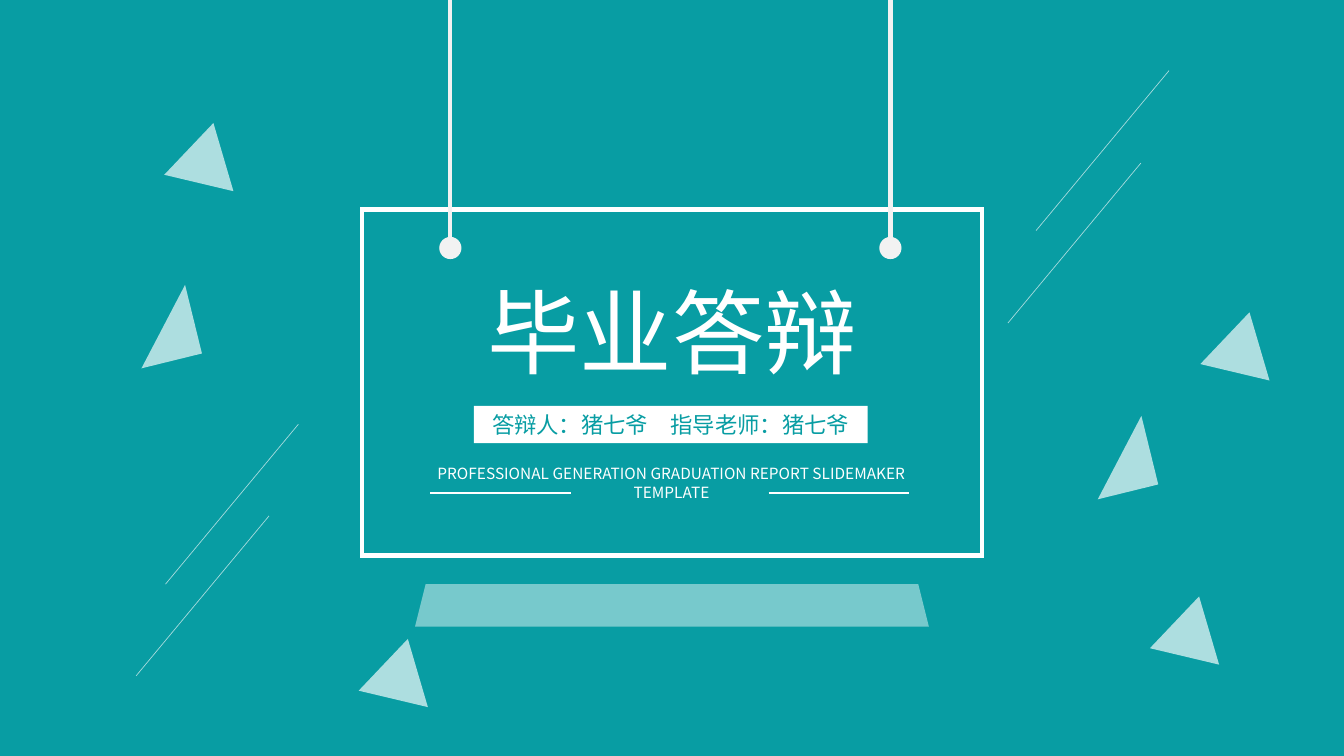
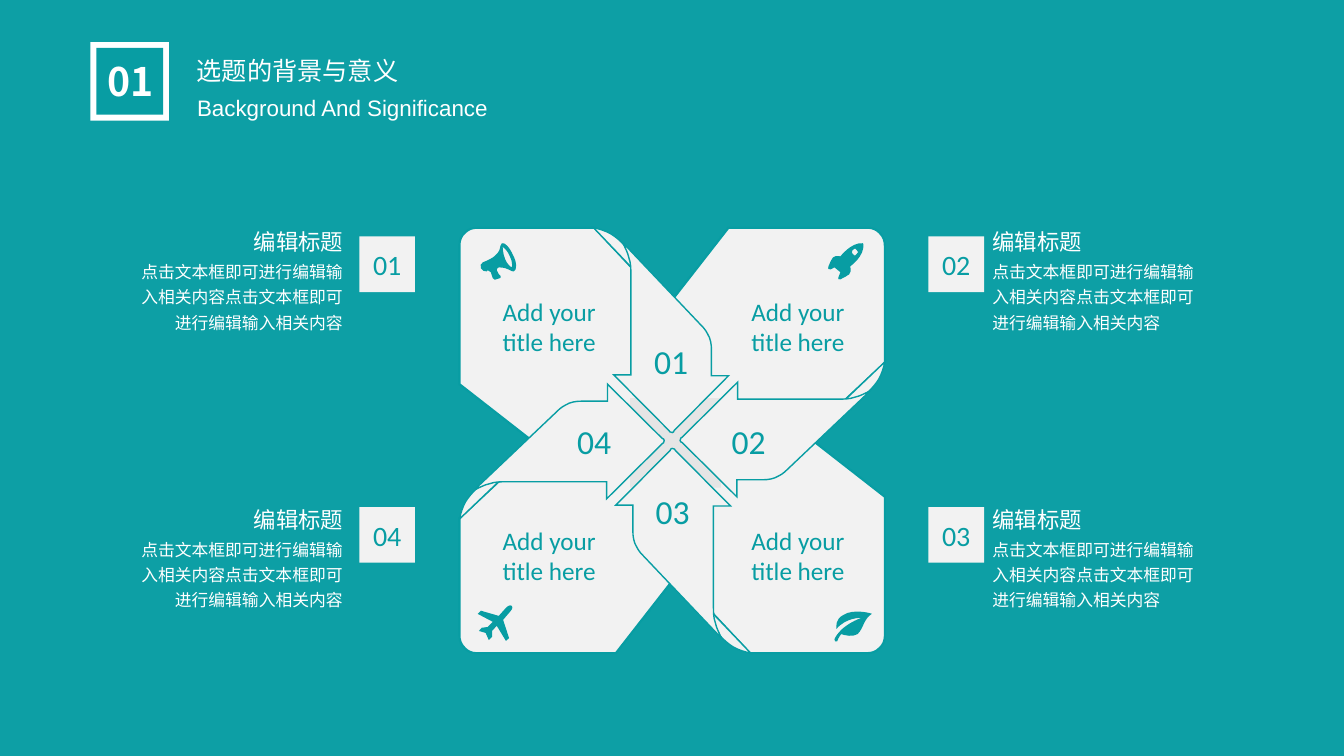
from lxml import etree
from pptx import Presentation
from pptx.dml.color import RGBColor
from pptx.enum.shapes import MSO_CONNECTOR, MSO_SHAPE
from pptx.enum.text import MSO_ANCHOR, PP_ALIGN
from pptx.oxml.ns import qn
from pptx.util import Cm, Pt

RECT = MSO_SHAPE.RECTANGLE
SNIP = MSO_SHAPE.SNIP_1_RECTANGLE
OVAL = MSO_SHAPE.OVAL
TRI = MSO_SHAPE.ISOSCELES_TRIANGLE
TRAP = MSO_SHAPE.TRAPEZOID
STRAIGHT = MSO_CONNECTOR.STRAIGHT
TOP, MID = MSO_ANCHOR.TOP, MSO_ANCHOR.MIDDLE
LEFT, CENTER, RIGHT = PP_ALIGN.LEFT, PP_ALIGN.CENTER, PP_ALIGN.RIGHT

TEAL = RGBColor(0x08, 0x9D, 0xA3)
SOFT = RGBColor(0x0D, 0x9F, 0xA5)
WHITE = RGBColor(0xFF, 0xFF, 0xFF)
PALE = RGBColor(0xF2, 0xF2, 0xF2)
GREY = RGBColor(0xE5, 0xE5, 0xE5)
HAN, LATIN, SANS = "Noto Sans CJK SC", "Calibri", "Arial"

PETAL = [[(-1.96, -5.36), (-4.9, -5.36),
          (-5.03, -5.36, -5.13, -5.33, -5.23, -5.23),
          (-5.31, -5.16, -5.36, -5.05, -5.36, -4.93),
          (-5.36, -1.42), (-2.95, 0.46), (0.03, 0.46), (0.03, -3.23)]]
FOLD = [[(-1.98, -5.36), (-1.83, -5.33, -1.68, -5.28, -1.55, -5.21),
         (-1.42, -5.13, -1.3, -5.03, -1.19, -4.9),
         (-0.97, -4.57), (-0.94, -4.27)]]
ARROW = [[(-1.24, -4.98), (-1.19, -4.85, -1.12, -4.75, -1.09, -4.6),
          (-1.04, -4.47, -1.04, -4.32, -1.04, -4.17),
          (-1.04, -1.65), (-1.47, -1.65), (-0.08, -0.25),
          (-0.08, -0.23, -0.05, -0.2, 0, -0.2),
          (0.03, -0.2, 0.05, -0.23, 0.05, -0.25),
          (1.42, -1.63), (0.99, -1.63), (0.99, -2.29),
          (0.99, -2.41, 0.97, -2.57, 0.89, -2.69),
          (0.86, -2.74, 0.84, -2.79, 0.79, -2.84)]]
PLANE = [[(0.71, 0.91), (0.79, 0.84), (0.64, 0.38), (0.81, 0.18),
          (0.81, 0.18, 0.91, 0.08, 0.86, 0.03),
          (0.81, -0.03, 0.71, 0.08, 0.71, 0.08),
          (0.53, 0.28), (0.08, 0.15), (0, 0.23), (0.38, 0.43),
          (0.25, 0.56), (0.1, 0.58), (0.03, 0.66), (0.2, 0.71),
          (0.28, 0.89), (0.36, 0.81), (0.36, 0.66), (0.48, 0.53)]]
HORN = [[(0.84, 0.33), (0.76, 0.15, 0.64, 0, 0.56, 0.03),
         (0.46, 0.08, 0.64, 0.3, 0.08, 0.51),
         (0.03, 0.53, 0, 0.61, 0.03, 0.66),
         (0.05, 0.71, 0.13, 0.76, 0.18, 0.74), (0.2, 0.71),
         (0.25, 0.76, 0.28, 0.74, 0.28, 0.76), (0.33, 0.91),
         (0.38, 0.95), (0.51, 0.91), (0.53, 0.91, 0.53, 0.89, 0.53, 0.86),
         (0.48, 0.81), (0.43, 0.71),
         (0.41, 0.69, 0.46, 0.64, 0.48, 0.64),
         (0.74, 0.64, 0.79, 0.76, 0.86, 0.74),
         (0.94, 0.71, 0.94, 0.51, 0.84, 0.33)],
        [(0.81, 0.64), (0.79, 0.64, 0.69, 0.56, 0.64, 0.43),
         (0.58, 0.28, 0.58, 0.13, 0.58, 0.13),
         (0.61, 0.13, 0.71, 0.23, 0.76, 0.36),
         (0.84, 0.51, 0.81, 0.64, 0.81, 0.64)]]
ROCKET = [[(0.58, 0.61), (0.58, 0.61, 0.94, 0.36, 0.91, 0.05), (0.89, 0.03),
           (0.61, 0, 0.33, 0.36, 0.33, 0.36),
           (0.13, 0.33, 0.13, 0.38, 0.03, 0.61),
           (0, 0.69, 0.05, 0.69, 0.08, 0.69),
           (0.18, 0.64), (0.33, 0.76), (0.28, 0.89),
           (0.25, 0.91, 0.28, 0.97, 0.33, 0.94),
           (0.56, 0.81, 0.61, 0.84, 0.58, 0.61)],
          [(0.64, 0.3), (0.61, 0.28, 0.61, 0.23, 0.64, 0.2),
           (0.66, 0.15, 0.74, 0.15, 0.74, 0.2),
           (0.79, 0.23, 0.79, 0.28, 0.74, 0.3),
           (0.74, 0.36, 0.66, 0.36, 0.64, 0.3)]]
LEAF = [[(0.25, 0.18), (0.05, 0.28, 0.08, 0.46, 0.08, 0.53),
         (0.33, 0.23, 0.71, 0.25, 0.71, 0.25),
         (0.71, 0.25, 0.18, 0.43, 0.03, 0.79),
         (0, 0.84, 0.08, 0.86, 0.1, 0.84),
         (0.13, 0.74, 0.2, 0.66, 0.2, 0.66),
         (0.3, 0.69, 0.48, 0.74, 0.61, 0.66),
         (0.76, 0.53, 0.76, 0.28, 0.97, 0.15),
         (1.02, 0.15, 0.51, 0, 0.25, 0.18)]]


def fade(shape, rate):
    tone = shape._element.spPr.find(".//" + qn("a:srgbClr"))
    etree.SubElement(tone, qn("a:alpha")).set("val", str(rate * 1000))


def paint(shape, fill=None, line=None, width=1):
    shape.shadow.inherit = False
    if fill is None:
        shape.fill.background()
    else:
        shape.fill.solid()
        shape.fill.fore_color.rgb = fill
    if line is None:
        shape.line.fill.background()
    else:
        shape.line.color.rgb = line
        shape.line.width = Pt(width)
        edge = shape._element.spPr.find(qn("a:ln"))
        etree.SubElement(edge, qn("a:miter")).set("lim", "800000")
    return shape


def draw(slide, kind, box, **look):
    return paint(slide.shapes.add_shape(kind, *map(Cm, box)), **look)


def rule(slide, start, end, color=WHITE, width=1.5):
    line = slide.shapes.add_connector(STRAIGHT, *map(Cm, start + end))
    line.line.color.rgb = color
    line.line.width = Pt(width)
    etree.SubElement(line._element.spPr, qn("a:effectLst"))
    return line


def write(slide, text, box=None, shape=None, size=16, face=HAN, color=WHITE,
          bold=False, align=CENTER, anchor=TOP, space=None, wrap=True):
    if shape is None:
        shape = slide.shapes.add_textbox(*map(Cm, box))
    frame = shape.text_frame
    frame.word_wrap = wrap
    frame.vertical_anchor = anchor
    para = frame.paragraphs[0]
    para.alignment = align
    if space:
        para.line_spacing = space
    run = para.add_run()
    run.text = text
    font = run.font
    font.size, font.bold, font.name = Pt(size), bold, face
    font.color.rgb = color
    etree.SubElement(run._r.rPr, qn("a:ea")).set("typeface", face)


def place(part, x, y, turn):
    dots = []
    for dx, dy in zip(part[::2], part[1::2]):
        for _ in range(turn):
            dx, dy = -dy, dx
        dots.append((Cm(x + dx), Cm(y + dy)))
    return dots


def bend(shape, parts):
    steps = list(shape._element.spPr.iter(qn("a:lnTo")))
    for step, dots in zip(steps, parts):
        if len(dots) == 1:
            continue
        curve = etree.Element(qn("a:cubicBezTo"))
        for px, py in dots:
            dot = etree.SubElement(curve, qn("a:pt"))
            dot.set("x", str(px - shape.left))
            dot.set("y", str(py - shape.top))
        step.getparent().replace(step, curve)


def carve(slide, loops, x, y, turn=0, **look):
    pen, parts = None, []
    for loop in loops:
        first, *rest = [place(part, x, y, turn) for part in loop]
        if pen is None:
            pen = slide.shapes.build_freeform(*first[0], scale=1.0)
        else:
            pen.move_to(*first[0])
        pen.add_line_segments([dots[-1] for dots in rest], close=True)
        parts += rest
    shape = pen.convert_to_shape()
    bend(shape, parts)
    return paint(shape, **look)


def page(deck, color):
    slide = deck.slides.add_slide(deck.slide_layouts[6])
    slide.background.fill.solid()
    slide.background.fill.fore_color.rgb = color
    return slide


def confetti(slide):
    tall, wide = (1.57, 1.78, 346.2), (1.8, 1.55, 133.5)
    for x, y, (w, h, turn) in ((27.43, 10.64, tall), (30.53, 8.28, wide),
                               (29.26, 15.44, wide), (3.33, 7.34, tall),
                               (4.42, 3.51, wide), (9.32, 16.51, wide)):
        chip = draw(slide, TRI, (x, y, w, h), fill=WHITE)
        chip.rotation = turn
        if w < h:
            chip.adjustments[0] = 1
        fade(chip, 67)
    for x, y in ((29.46, 1.78), (28.75, 4.11), (7.52, 10.69), (6.78, 13)):
        fade(rule(slide, (x, y), (x - 3.35, y + 4.03), width=0.5), 64)


def board(slide, x, y, w, h):
    draw(slide, RECT, (x, y, w, h), line=WHITE, width=3)
    for rope in (x + 2.23, x + 13.32):
        rule(slide, (rope, 0), (rope, y + 0.89), PALE, 3)
        draw(slide, OVAL, (rope - 0.28, y + 0.69, 0.56, 0.56), fill=PALE)
    fade(draw(slide, TRAP, (x + 1.34, y + 9.44, 12.95, 1.07), fill=WHITE), 45)
    write(slide, "毕业答辩", (x + 0.41, y + 1.53, 14.83, 3.07), size=66)
    bar = draw(slide, RECT, (x + 2.82, y + 4.95, 9.93, 0.94), fill=WHITE)
    write(slide, "答辩人：猪七爷　指导老师：猪七爷", shape=bar, color=TEAL)
    write(slide, "PROFESSIONAL GENERATION GRADUATION REPORT SLIDEMAKER TEMPLATE",
          (x + 1.24, y + 6.3, 13.13, 1.19), size=11)
    for left in (x + 1.72, x + 10.25):
        rule(slide, (left, y + 7.15), (left + 3.55, y + 7.15))


def header(slide, x, y, num, title, sub):
    draw(slide, RECT, (x, y, 1.98, 1.98), fill=WHITE)
    draw(slide, RECT, (x + 0.15, y + 0.15, 1.68, 1.68), fill=TEAL)
    write(slide, num, (x + 0.09, y + 0.25, 1.83, 1.45), size=28, bold=True)
    write(slide, title, (x + 2.43, y - 0.54, 5.64, 1.57), size=18,
          align=LEFT, space=2, wrap=False)
    strip = draw(slide, SNIP, (x - 0.62, y + 1.2, 13.94, 0.94))
    strip.adjustments[0] = 0
    write(slide, sub, shape=strip, face=SANS)


def pinwheel(slide, x, y):
    for turn in (2, 3, 1, 0):
        carve(slide, PETAL, x, y, turn, fill=PALE, line=TEAL, width=1.5)
    draw(slide, RECT, (x - 1.06, y - 1.07, 2.29, 2.26), fill=GREY)
    for turn in range(4):
        for part in (FOLD, ARROW):
            carve(slide, part, x, y, turn, fill=PALE, line=TEAL)
    spots = ((-1.03, -2.64), (0.92, -0.63), (-0.99, 1.14), (-2.97, -0.63))
    for n, (dx, dy) in enumerate(spots, 1):
        write(slide, f"{n:02}", (x + dx, y + dy, 2.01, 1.27), size=24,
              face=LATIN, color=TEAL)
    for icon, dx, dy in ((PLANE, -4.9, 4.14), (HORN, -4.85, -5),
                         (ROCKET, 3.91, -5), (LEAF, 4.06, 4.22)):
        carve(slide, icon, x + dx, y + dy, fill=TEAL)
    for dy in (-3.77, 2.01):
        for dx in (-4.79, 1.48):
            write(slide, "Add your title here", (x + dx, y + dy, 3.38, 1.8),
                  size=18, face=LATIN, color=TEAL)


def note(slide, x, y, num, align, tag, drop):
    badge = draw(slide, RECT, (x + tag, y + drop, 1.4, 1.4), fill=PALE)
    write(slide, num, shape=badge, size=20, face=LATIN, color=TEAL, anchor=MID)
    write(slide, "点击文本框即可进行编辑输入相关内容点击文本框即可进行编辑输入相关内容",
          (x, y + 0.73, 5.79, 2.18), size=12, align=align, space=1.25)
    shift = 2.9 if align == RIGHT else 0
    write(slide, "编辑标题", (x + shift, y, 2.9, 0.94), align=align)


def main():
    deck = Presentation()
    deck.slide_width, deck.slide_height = Cm(33.87), Cm(19.05)

    cover = page(deck, TEAL)
    confetti(cover)
    board(cover, 9.12, 5.28, 15.62, 8.72)

    topic = page(deck, SOFT)
    header(topic, 2.28, 1.06, "01", "选题的背景与意义",
           "Background And Significance")
    pinwheel(topic, 16.94, 11.1)
    for y, drop, nums in ((5.62, 0.34, ("01", "02")),
                          (12.62, 0.16, ("04", "03"))):
        note(topic, 3.1, y, nums[0], RIGHT, 5.96, drop)
        note(topic, 24.76, y, nums[1], LEFT, -1.36, drop)
    deck.save("out.pptx")


if __name__ == "__main__":
    main()
